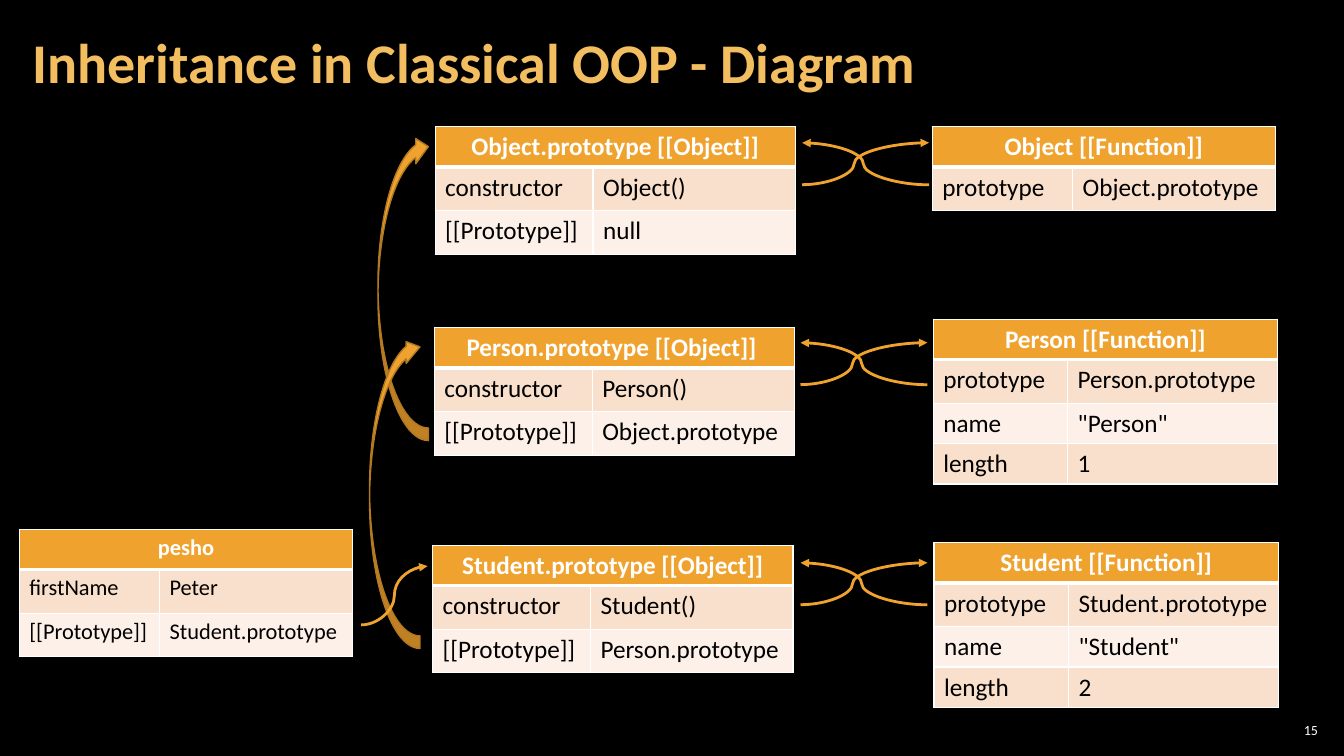
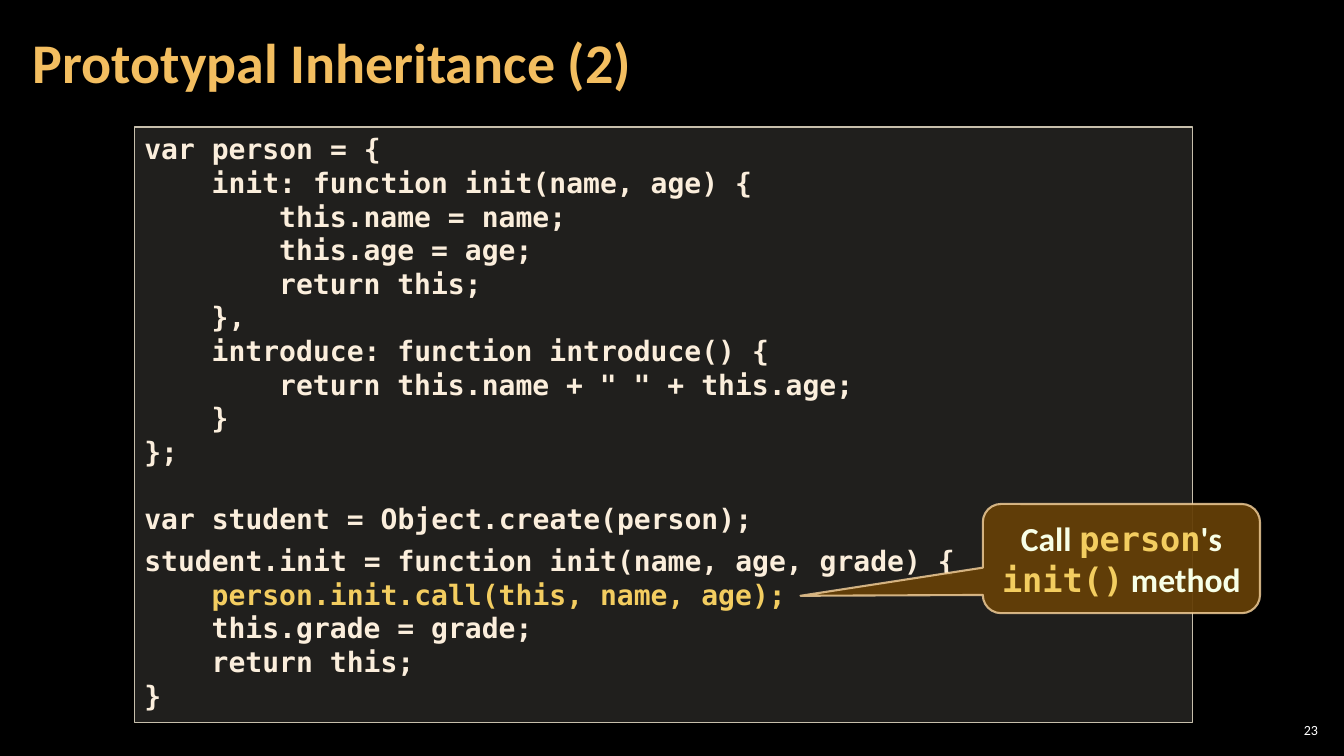
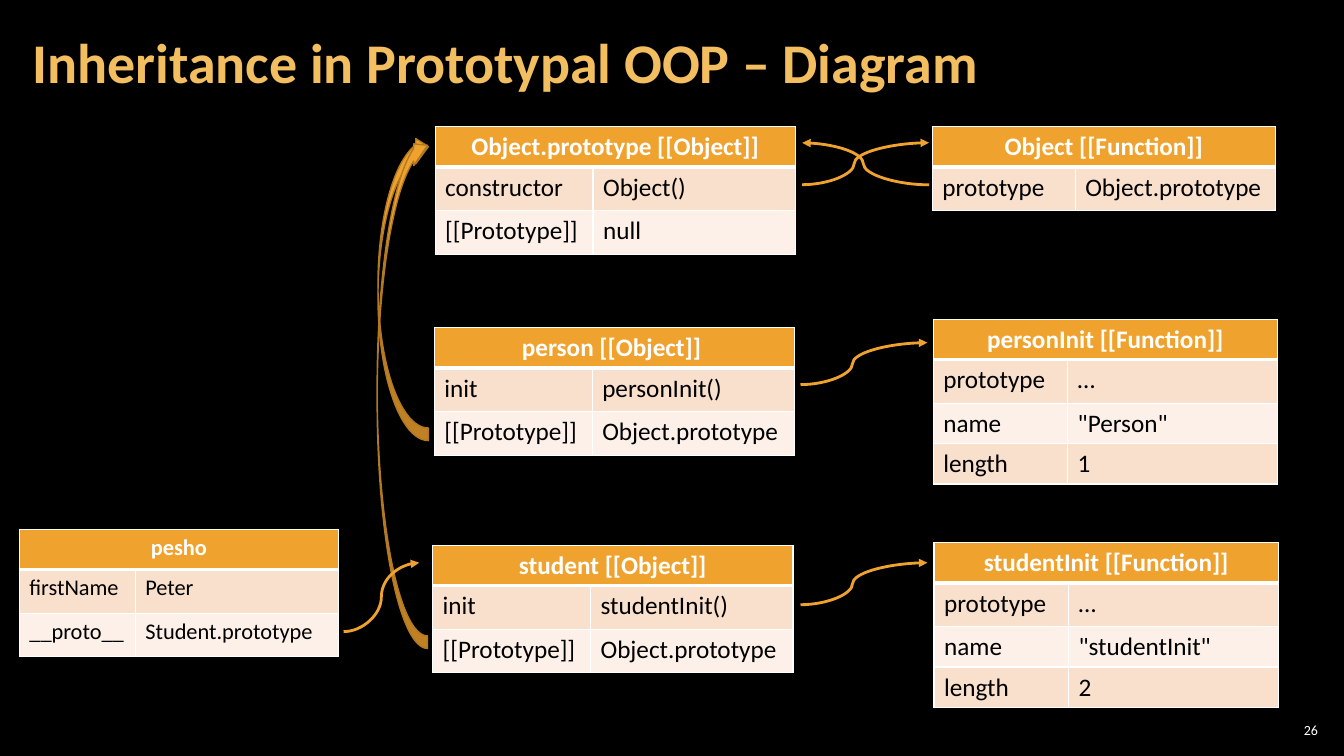
from dataclasses import dataclass

from lxml import etree
from pptx import Presentation
from pptx import util as u
from pptx.dml.color import RGBColor
from pptx.enum import shapes, text
from pptx.oxml.ns import qn


@dataclass(frozen=True)
class Theme:
    font: str = "Calibri"
    mono: str = "DejaVu Sans Mono"
    back: str = "000000"
    white: str = "FFFFFF"
    ink: str = "000000"
    title: str = "F3BE60"
    amber: str = "F0A22E"
    edge: str = "B27822"
    bands: tuple[str, str] = ("F9E0CD", "FCF0E8")
    panel: str = "D9D5C7"
    rim: str = "C7BFAC"
    code: str = "FBEEDC"
    mark: str = "F3CD60"
    note: str = "643F07"
    trim: str = "F8D49E"
    pale: str = "F7FFE7"
    head_size: int = 40
    note_size: int = 24
    code_size: int = 20
    cell_size: int = 18
    small_size: int = 16
    page_size: int = 10


T = Theme()

# The slide is a grid of 160 columns by 90 rows
COLS, ROWS = 160, 90
WIDE, HIGH = u.Inches(13.333), u.Inches(7.5)
UNIT = HIGH / ROWS


def g(*cells: float) -> list[int]:
    """Turn grid counts into lengths."""
    return [round(c * UNIT) for c in cells]


@dataclass(frozen=True)
class Card:
    """An object drawn as a table of names and values."""
    spot: tuple[float, float]
    head: str
    pairs: tuple[tuple[str, str], ...]
    cols: tuple[float, float]
    rest: float = 5.2          # height of the rows after the first pair
    size: int = T.cell_size


@dataclass(frozen=True)
class Link:
    start: tuple[float, float]
    end: tuple[float, float]
    bend: float = 0.5


@dataclass(frozen=True)
class Arc:
    """A curved block arrow that points up the chain."""
    mid: tuple[float, float]
    span: float
    adjust: tuple[float, ...] = ()


@dataclass(frozen=True)
class Line:
    text: str
    level: int = 0
    before: int = 0
    color: str = T.code


# Rows of the diagram, from the top down
PROTO = ((51.8, 15.1), (51.7, 39), (51.5, 64.9))
FUNC = ((111, 15.1), (111.1, 38), (111.2, 64.6))
JOINT = ((95.5, 22), (95.3, 45.8), (95.3, 72))
REACH, RISE = 15.1, 5
PESHO = (2.3, 63)
SLANT = (0.25, 0.431, 0.273)


def proto(row: int, head: str, *pairs: tuple[str, str]) -> Card:
    return Card(PROTO[row], head, pairs, (18.8, 24.1))


def func(row: int, name: str, *values: str,
         cols: tuple[float, float] = (16, 25)) -> Card:
    pairs = tuple(zip(("prototype", "name", "length"), values))
    return Card(FUNC[row], f"{name} [[Function]]", pairs, cols, 4.8)


def pesho(key: str, cols: tuple[float, float]) -> Card:
    pairs = (("firstName", "Peter"), (key, "Student.prototype"))
    return Card(PESHO, "pesho", pairs, cols, size=T.small_size)


def out(row: int) -> Link:
    x, y = JOINT[row]
    return Link((x, y), (x + REACH, y - RISE), 0.41)


def back(row: int) -> Link:
    x, y = JOINT[row]
    return Link((x + REACH, y), (x, y - RISE), 0.518)


# Formatting helpers
def rgb(color: str) -> RGBColor:
    return RGBColor.from_string(color)


def style(font, size: float, color: str, bold: bool = False,
          name: str = T.font) -> None:
    font.name, font.size, font.bold = name, u.Pt(size), bold
    font.color.rgb = rgb(color)


def paint(shape, fill: str, line: str, width: float) -> None:
    shape.shadow.inherit = False
    shape.fill.solid()
    shape.fill.fore_color.rgb = rgb(fill)
    shape.line.color.rgb = rgb(line)
    shape.line.width = u.Pt(width)


def fade(shape, share: int, part: str = "") -> None:
    tone = shape._element.spPr.find(f"{part}{qn('a:solidFill')}/{qn('a:srgbClr')}")
    etree.SubElement(tone, qn("a:alpha")).set("val", str(share * 1000))


def border(cell, side: str, width: float) -> None:
    props = cell._tc.get_or_add_tcPr()
    line = etree.SubElement(props, qn(f"a:ln{side}"), w=str(u.Pt(width)))
    fill = etree.SubElement(line, qn("a:solidFill"))
    etree.SubElement(fill, qn("a:srgbClr"), val=T.white)


# Parts of a slide
def start(deck, title: str, page: int):
    slide = deck.slides.add_slide(deck.slide_layouts[5])
    head = slide.shapes.title
    head.left, head.top, head.width, head.height = g(2.5, 0.5, 125.6, 14.5)
    frame = head.text_frame
    frame.text = title
    frame.auto_size = text.MSO_AUTO_SIZE.NONE
    frame.vertical_anchor = text.MSO_ANCHOR.MIDDLE
    frame.margin_left, frame.margin_right = g(1.4, 1.4)
    frame.margin_top, frame.margin_bottom = g(0.5, 0.5)
    para = frame.paragraphs[0]
    para.alignment, para.line_spacing = text.PP_ALIGN.LEFT, 0.9
    style(para.font, T.head_size, T.title, True)

    frame = slide.shapes.add_textbox(*g(151.8, 85.7, 5.6, 2.5)).text_frame
    frame.word_wrap = True
    frame.vertical_anchor = text.MSO_ANCHOR.MIDDLE
    frame.margin_left = frame.margin_right = g(0.5)[0]
    frame.margin_top = frame.margin_bottom = g(0.5)[0]
    frame.text = str(page)
    para = frame.paragraphs[0]
    para.alignment = text.PP_ALIGN.RIGHT
    style(para.font, T.page_size, T.white)
    return slide


def draw_card(slide, card: Card) -> None:
    highs = [4.8, 5.2] + [card.rest] * (len(card.pairs) - 1)
    table = slide.shapes.add_table(
        len(highs), 2, *g(*card.spot, sum(card.cols), sum(highs))).table
    table.first_row = table.horz_banding = False
    for col, wide in zip(table.columns, g(*card.cols)):
        col.width = wide
    for row, high in zip(table.rows, g(*highs)):
        row.height = high
    table.cell(0, 0).merge(table.cell(0, 1))
    for i, pair in enumerate(((card.head, ""), *card.pairs)):
        for j, words in enumerate(pair):
            cell = table.cell(i, j)
            for side in "LRTB":
                thick = (i, side) in ((0, "B"), (1, "T"))
                border(cell, side, 3 if thick else 1)
            cell.fill.solid()
            cell.fill.fore_color.rgb = rgb(T.bands[(i - 1) % 2] if i else T.amber)
            if not words:
                continue
            cell.text = words
            para = cell.text_frame.paragraphs[0]
            style(para.font, card.size, T.ink if i else T.white, i == 0)
            if i == 0:
                para.alignment = text.PP_ALIGN.CENTER


def draw_link(slide, link: Link) -> None:
    left = link.end[0] < link.start[0]
    ends = (link.end, link.start) if left else (link.start, link.end)
    wire = slide.shapes.add_connector(
        shapes.MSO_CONNECTOR.CURVE, *g(*ends[0], *ends[1]))
    props = wire._element.spPr
    if left:   # half a turn makes the line run leftwards
        props.find(qn("a:xfrm")).set("rot", "10800000")
    guides = props.find(qn("a:prstGeom")).find(qn("a:avLst"))
    etree.SubElement(guides, qn("a:gd"), name="adj1",
                     fmla=f"val {round(link.bend * 100000)}")
    wire.line.color.rgb = rgb(T.amber)
    wire.line.width = u.Pt(2)
    etree.SubElement(wire.line._get_or_add_ln(), qn("a:tailEnd"), type="triangle")
    etree.SubElement(props, qn("a:effectLst"))


def draw_arc(slide, arc: Arc) -> None:
    (x, y), thick = arc.mid, 6
    shape = slide.shapes.add_shape(
        shapes.MSO_SHAPE.CURVED_DOWN_ARROW,
        *g(x - arc.span / 2, y - thick / 2, arc.span, thick))
    shape.rotation = 270
    for i, value in enumerate(arc.adjust):
        shape.adjustments[i] = value
    paint(shape, T.amber, T.edge, 1)


def draw_map(slide, cards: list[Card], arcs: list[Arc], links: list[Link]) -> None:
    for card in cards:
        draw_card(slide, card)
    for arc in arcs:
        draw_arc(slide, arc)
    for link in links:
        draw_link(slide, link)


def draw_code(slide, lines: list[Line]) -> None:
    box = slide.shapes.add_shape(shapes.MSO_SHAPE.RECTANGLE, *g(16, 15.1, 126, 70.9))
    paint(box, T.panel, T.rim, 1)
    fade(box, 15)
    frame = box.text_frame
    frame.vertical_anchor = text.MSO_ANCHOR.TOP
    for i, line in enumerate(lines):
        para = frame.add_paragraph() if i else frame.paragraphs[0]
        para.text = line.text
        para.alignment = text.PP_ALIGN.LEFT
        para.line_spacing = u.Pt(24)
        para.space_before = u.Pt(line.before)
        # One level is four letters wide
        para._p.get_or_add_pPr().set("marL", str(u.Pt(48.16 * line.level)))
        style(para.font, T.code_size, line.color, True, T.mono)


def draw_note(slide, parts: list[str]) -> None:
    """Draw the callout; every second part is code."""
    note = slide.shapes.add_shape(
        shapes.MSO_SHAPE.ROUNDED_RECTANGULAR_CALLOUT, *g(117, 60, 33, 13))
    for i, value in enumerate((-1.158, 0.341, 0.167)):
        note.adjustments[i] = value
    paint(note, T.note, T.trim, 1.5)
    fade(note, 95)
    fade(note, 80, f"{qn('a:ln')}/")
    note.text_frame.vertical_anchor = text.MSO_ANCHOR.MIDDLE
    para = note.text_frame.paragraphs[0]
    para.alignment = text.PP_ALIGN.CENTER
    for i, words in enumerate(parts):
        run = para.add_run()
        run.text = words
        look = (T.mark, True, T.mono) if i % 2 else (T.pale, True, T.font)
        style(run.font, T.note_size, *look)


# Slides
def classic(deck) -> None:
    slide = start(deck, "Inheritance in Classical OOP - Diagram", 15)
    cards = [
        proto(0, "Object.prototype [[Object]]",
              ("constructor", "Object()"), ("[[Prototype]]", "null")),
        proto(1, "Person.prototype [[Object]] ",
              ("constructor", "Person()"), ("[[Prototype]]", "Object.prototype")),
        proto(2, "Student.prototype [[Object]]",
              ("constructor", "Student()"), ("[[Prototype]]", "Person.prototype")),
        func(0, "Object", "Object.prototype", cols=(16.7, 24.1)),
        func(1, "Person", "Person.prototype", '"Person"', "1"),
        func(2, "Student", "Student.prototype", '"Student"', "2"),
        pesho("[[Prototype]]", (16.7, 23)),
    ]
    arcs = [Arc((48, 34.2), 36.5), Arc((47, 58.6), 37.2, SLANT)]
    links = [make(row) for row in range(3) for make in (out, back)]
    draw_map(slide, cards, arcs, links + [Link((43, 74.4), (50.9, 67.4))])


def code(deck) -> None:
    slide = start(deck, "Prototypal Inheritance (2)", 23)
    draw_code(slide, [
        Line("var person = {"),
        Line("init: function init(name, age) {", 1),
        Line("this.name = name;", 2),
        Line("this.age = age;", 2),
        Line("return this;", 2),
        Line("},", 1),
        Line("introduce: function introduce() {", 1),
        Line('return this.name + " " + this.age;', 2),
        Line("}", 1),
        Line("};"),
        Line("var student = Object.create(person);", before=24),
        Line("student.init = function init(name, age, grade) {", before=6),
        Line("person.init.call(this, name, age);", 1, color=T.mark),
        Line("this.grade = grade;", 1),
        Line("return this;", 1),
        Line("}"),
    ])
    draw_note(slide, ["Call ", "person", "'s ", "init()", " method"])


def modern(deck) -> None:
    slide = start(deck, "Inheritance in Prototypal OOP – Diagram", 26)
    cards = [
        proto(0, "Object.prototype [[Object]]",
              ("constructor", "Object()"), ("[[Prototype]]", "null")),
        proto(1, "person [[Object]] ",
              ("init", "personInit()"), ("[[Prototype]]", "Object.prototype")),
        proto(2, "student [[Object]]",
              ("init", "studentInit()"), ("[[Prototype]]", "Object.prototype")),
        func(0, "Object", "Object.prototype", cols=(17, 23.8)),
        func(1, "personInit", "…", '"Person"', "1"),
        func(2, "studentInit", "…", '"studentInit"', "2"),
        pesho("__proto__", (13.8, 24.2)),
    ]
    arcs = [Arc((48, 34.2), 36.5), Arc((47.9, 46.6), 61.2, SLANT)]
    links = [out(row) for row in range(3)]
    draw_map(slide, cards, arcs,
             links + [back(0), Link((40.9, 75.2), (49.9, 67))])


def main() -> None:
    deck = Presentation()
    deck.slide_width, deck.slide_height = WIDE, HIGH
    fill = deck.slide_master.background.fill
    fill.solid()
    fill.fore_color.rgb = rgb(T.back)
    for build in (classic, code, modern):
        build(deck)
    deck.save("out.pptx")


if __name__ == "__main__":
    main()
